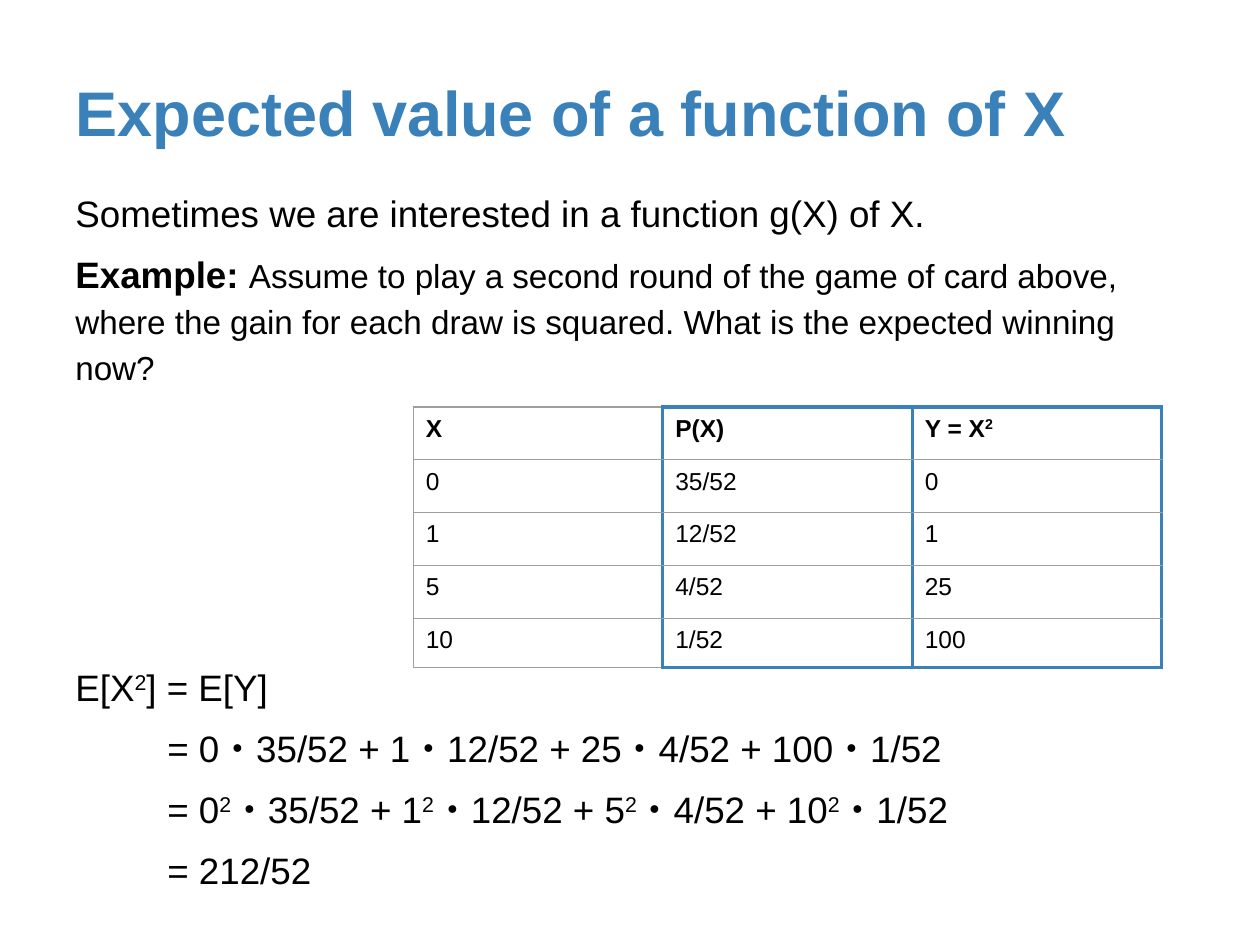
from lxml import etree
from pptx import Presentation
from pptx.dml.color import RGBColor
from pptx.enum.text import MSO_ANCHOR, PP_ALIGN
from pptx.oxml.ns import qn
from pptx.util import Inches, Pt

LEFT = PP_ALIGN.LEFT
TOP, BOTTOM = MSO_ANCHOR.TOP, MSO_ANCHOR.BOTTOM
BLUE = RGBColor(0x3A, 0x81, 0xBA)
GREY = RGBColor(0x9E, 0x9E, 0x9E)
BLACK = RGBColor(0, 0, 0)
WHITE = RGBColor(255, 255, 255)
FONT = "Arial"
TITLE_ONLY = 5
MARGIN = Inches(0.1)

TITLE = "Expected value of a function of X"
PLAIN, BOLD, SUPER = "plain", "bold", "super"
QUESTION = [
    (0, [("Sometimes we are interested in a function g(X) of X.", 21, PLAIN)]),
    (0, [("Example: ", 21, BOLD),
         ("Assume to play a second round of the game of card above, where the gain "
          "for each draw is squared. What is the expected winning now?", 19, PLAIN)]),
]
SQUARED_TERMS = [("= 0", "・35/52 + "), ("1", "・12/52 + "), ("5", "・4/52 + "), ("10", "・1/52")]
SQUARED_SUM = [run for base, rest in SQUARED_TERMS
               for run in ((base, 21, PLAIN), ("2", 21, SUPER), (rest, 21, PLAIN))]
SOLUTION = [
    (0, [("E[X", 21, PLAIN), ("2", 21, SUPER), ("] = E[Y]", 21, PLAIN)]),
    (0.73, [("= 0・35/52 + 1・12/52 + 25・4/52 + 100・1/52", 21, PLAIN)]),
    (0.73, SQUARED_SUM),
    (0.73, [("= 212/52", 21, PLAIN)]),
]
HEADER = [
    [("X", 14, BOLD)],
    [("P(X)", 14, BOLD)],
    [("Y = X", 14, BOLD), ("2", 14, BOLD + SUPER)],
]
VALUES = [("0", "35/52", "0"), ("1", "12/52", "1"), ("5", "4/52", "25"), ("10", "1/52", "100")]
TABLE_ROWS = [HEADER] + [[[(value, 14, PLAIN)] for value in row] for row in VALUES]
ROW_HEIGHTS = [0.42] * 4 + [0.38]
COLUMN_WIDTH = 1.98


def add_runs(paragraph, runs, color=BLACK):
    paragraph.alignment = LEFT
    for text, size, style in runs:
        run = paragraph.add_run()
        run.text = text
        run.font.name = FONT
        run.font.size = Pt(size)
        run.font.bold = BOLD in style
        run.font.color.rgb = color
        if SUPER in style:
            run.font._element.set("baseline", "30000")


def set_frame(frame, anchor):
    frame.word_wrap = True
    frame.vertical_anchor = anchor
    frame.margin_left = frame.margin_right = MARGIN
    frame.margin_top = frame.margin_bottom = MARGIN


def add_text(slide, top, height, paragraphs):
    frame = slide.shapes.add_textbox(Inches(0.5), Inches(top), Inches(8.64), Inches(height)).text_frame
    set_frame(frame, TOP)
    for index, (indent, runs) in enumerate(paragraphs):
        paragraph = frame.add_paragraph() if index else frame.paragraphs[0]
        paragraph.line_spacing = 1.15
        paragraph.space_before = Pt(6)
        if indent:
            properties = paragraph._p.get_or_add_pPr()
            properties.set("marL", str(Inches(indent)))
            properties.set("indent", "0")
        add_runs(paragraph, runs)


def set_borders(cell, sides):
    properties = cell._tc.get_or_add_tcPr()
    for position, (side, strong) in enumerate(sides):
        line = etree.Element(qn("a:" + side), w=str(Pt(2.25 if strong else 0.75)))
        fill = etree.SubElement(line, qn("a:solidFill"))
        etree.SubElement(fill, qn("a:srgbClr"), val=str(BLUE if strong else GREY))
        properties.insert(position, line)


presentation = Presentation()
presentation.slide_width, presentation.slide_height = Inches(10), Inches(7.5)
slide = presentation.slides.add_slide(presentation.slide_layouts[TITLE_ONLY])

title = slide.shapes.title
title.left, title.top, title.width, title.height = Inches(0.5), Inches(0.03), Inches(9), Inches(1.25)
set_frame(title.text_frame, BOTTOM)
add_runs(title.text_frame.paragraphs[0], [(TITLE, 36, BOLD)], BLUE)

add_text(slide, 1.36, 1.8, QUESTION)
add_text(slide, 5.12, 2.1, SOLUTION)

row_count, column_count = len(TABLE_ROWS), len(HEADER)
table = slide.shapes.add_table(
    row_count, column_count, Inches(3.28), Inches(3.23),
    Inches(COLUMN_WIDTH * column_count), Inches(sum(ROW_HEIGHTS))).table
table.first_row = table.horz_banding = False
for column in table.columns:
    column.width = Inches(COLUMN_WIDTH)
for row_index, (runs_by_cell, height) in enumerate(zip(TABLE_ROWS, ROW_HEIGHTS)):
    table.rows[row_index].height = Inches(height)
    for column_index, runs in enumerate(runs_by_cell):
        cell = table.cell(row_index, column_index)
        cell.fill.solid()
        cell.fill.fore_color.rgb = WHITE
        cell.margin_left = cell.margin_right = MARGIN
        cell.margin_top = cell.margin_bottom = MARGIN
        paragraph = cell.text_frame.paragraphs[0]
        paragraph.line_spacing = 0.8
        add_runs(paragraph, runs)
        framed = column_index > 0
        set_borders(cell, [
            ("lnL", framed),
            ("lnR", True),
            ("lnT", framed and row_index == 0),
            ("lnB", framed and row_index == row_count - 1),
        ])

presentation.save("out.pptx")
